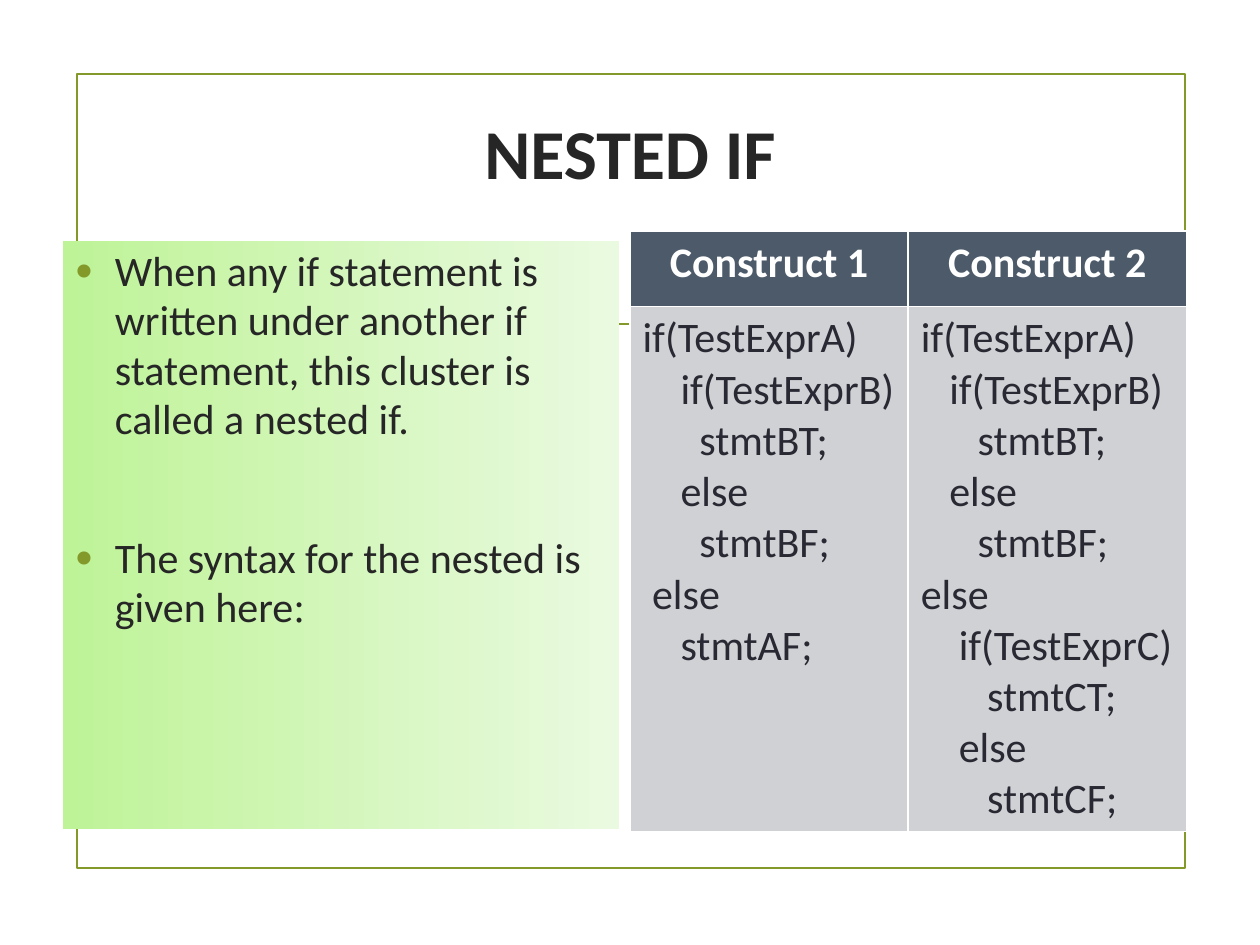
from dataclasses import dataclass

from lxml.etree import SubElement
from pptx import Presentation
from pptx.dml.color import RGBColor
from pptx.enum.shapes import MSO_CONNECTOR, MSO_SHAPE
from pptx.enum.text import MSO_ANCHOR, MSO_AUTO_SIZE, PP_ALIGN
from pptx.oxml.ns import qn
from pptx.slide import Slide
from pptx.util import Pt


@dataclass(frozen=True)
class Theme:
    font: str = "Calibri"
    serif: str = "Times New Roman"
    olive: str = "83992A"
    dark: str = "262626"
    ink: str = "292934"
    white: str = "FFFFFF"
    slate: str = "4C5A6A"
    grey: str = "D0D1D4"
    green: str = "BEF397"
    pale: str = "EAFAE0"
    head: float = 40
    text: float = 24
    line: float = 1.25
    step: float = 5.42  # code indent unit: one space at the text size


@dataclass(frozen=True)
class Box:
    left: float
    top: float
    width: float
    height: float

    def place(self) -> tuple:
        return Pt(self.left), Pt(self.top), Pt(self.width), Pt(self.height)


@dataclass(frozen=True)
class Point:
    runs: tuple  # (text, font) pairs
    before: float


@dataclass(frozen=True)
class Code:
    title: str
    lines: tuple  # (indent steps, text) pairs


THEME = Theme()
FRAME = Box(44, 42.5, 633, 453.5)
TITLE = Box(42, 35, 636, 103)
BODY = Box(36, 137.5, 318, 336)
TABLE = Box(360, 132, 318, 338.4)
HEAD_ROW = 43.2

POINTS = (
    Point((("When any if statement is written under another if statement, "
            "this cluster is called a nested if.", THEME.font),), 4),
    Point((("The syntax for the nested is given here", THEME.font),
           (":", THEME.serif)), 45),
)
CODES = (
    Code("Construct 1", (
        (0, "if(TestExprA)"), (4, "if(TestExprB)"), (6, "stmtBT;"),
        (4, "else"), (6, "stmtBF;"), (1, "else"), (4, "stmtAF;"))),
    Code("Construct 2", (
        (0, "if(TestExprA)"), (3, "if(TestExprB)"), (6, "stmtBT;"),
        (3, "else"), (6, "stmtBF;"), (0, "else"), (4, "if(TestExprC)"),
        (7, "stmtCT;"), (4, "else"), (7, "stmtCF;"))),
)


def rgb(code: str) -> RGBColor:
    return RGBColor.from_string(code)


def style(font, size: float, color: str, bold: bool = False) -> None:
    font.name, font.size, font.bold = THEME.font, Pt(size), bold
    font.color.rgb = rgb(color)


def indent(para, left: float, first: float = 0) -> None:
    props = para._p.get_or_add_pPr()
    props.set("marL", str(Pt(left)))
    props.set("indent", str(Pt(first)))


def bullet(para) -> None:
    indent(para, 22.5, -22.5)
    props = para._p.get_or_add_pPr()
    mark = [SubElement(props, qn(tag)) for tag in
            ("a:buClr", "a:buSzPct", "a:buFont", "a:buChar")]
    SubElement(mark[0], qn("a:srgbClr")).set("val", THEME.olive)
    mark[1].set("val", "115000")
    mark[2].set("typeface", "Arial")
    mark[3].set("char", "•")


def move(shape, box: Box) -> None:
    shape.left, shape.top, shape.width, shape.height = box.place()


def draw_frame(slide: Slide) -> None:
    """Draw the border and the title rule behind the placeholders."""
    frame = slide.shapes.add_shape(MSO_SHAPE.RECTANGLE, *FRAME.place())
    frame.shadow.inherit = False
    frame.fill.background()
    rule = slide.shapes.add_connector(
        MSO_CONNECTOR.STRAIGHT, Pt(101), Pt(185), Pt(620), Pt(185))
    SubElement(rule._element.spPr, qn("a:effectLst"))
    for shape in (frame, rule):
        shape.line.color.rgb = rgb(THEME.olive)
        shape.line.width = Pt(THEME.line)
        slide.shapes.title._element.addprevious(shape._element)


def fill_title(slide: Slide, text: str) -> None:
    title = slide.shapes.title
    move(title, TITLE)
    frame = title.text_frame
    frame.text = text
    frame.auto_size = MSO_AUTO_SIZE.NONE
    frame.vertical_anchor = MSO_ANCHOR.MIDDLE
    para = frame.paragraphs[0]
    para.alignment = PP_ALIGN.CENTER
    style(para.font, THEME.head, THEME.dark, bold=True)


def fill_body(slide: Slide) -> None:
    body = slide.placeholders[1]
    move(body, BODY)
    body.fill.gradient()
    body.fill.gradient_angle = 0
    for stop, color in zip(body.fill.gradient_stops, (THEME.green, THEME.pale)):
        stop.color.rgb = rgb(color)
    frame = body.text_frame
    frame.auto_size = MSO_AUTO_SIZE.NONE
    for num, point in enumerate(POINTS):
        para = frame.add_paragraph() if num else frame.paragraphs[0]
        para.line_spacing = 0.98
        para.space_before, para.space_after = Pt(point.before), Pt(6)
        bullet(para)
        style(para.font, THEME.text, THEME.dark)
        for text, font in point.runs:
            run = para.add_run()
            run.text, run.font.name = text, font


def fill_cell(cell, text: str, fill: str) -> list:
    cell.fill.solid()
    cell.fill.fore_color.rgb = rgb(fill)
    cell.text = text
    return list(cell.text_frame.paragraphs)


def draw_table(slide: Slide) -> None:
    table = slide.shapes.add_table(2, len(CODES), *TABLE.place()).table
    table.rows[0].height = Pt(HEAD_ROW)
    table.rows[1].height = Pt(TABLE.height - HEAD_ROW)
    for col, code in enumerate(CODES):
        for para in fill_cell(table.cell(0, col), code.title, THEME.slate):
            para.alignment = PP_ALIGN.CENTER
            style(para.font, THEME.text, THEME.white, bold=True)
        text = "\n".join(line for _, line in code.lines)
        paras = fill_cell(table.cell(1, col), text, THEME.grey)
        for para, (steps, _) in zip(paras, code.lines):
            indent(para, steps * THEME.step)
            style(para.font, THEME.text, THEME.ink)


def main() -> None:
    deck = Presentation()
    deck.slide_width, deck.slide_height = Pt(720), Pt(540)
    slide = deck.slides.add_slide(deck.slide_layouts[1])
    draw_frame(slide)
    fill_title(slide, "NESTED IF")
    fill_body(slide)
    draw_table(slide)
    deck.save("out.pptx")


if __name__ == "__main__":
    main()
